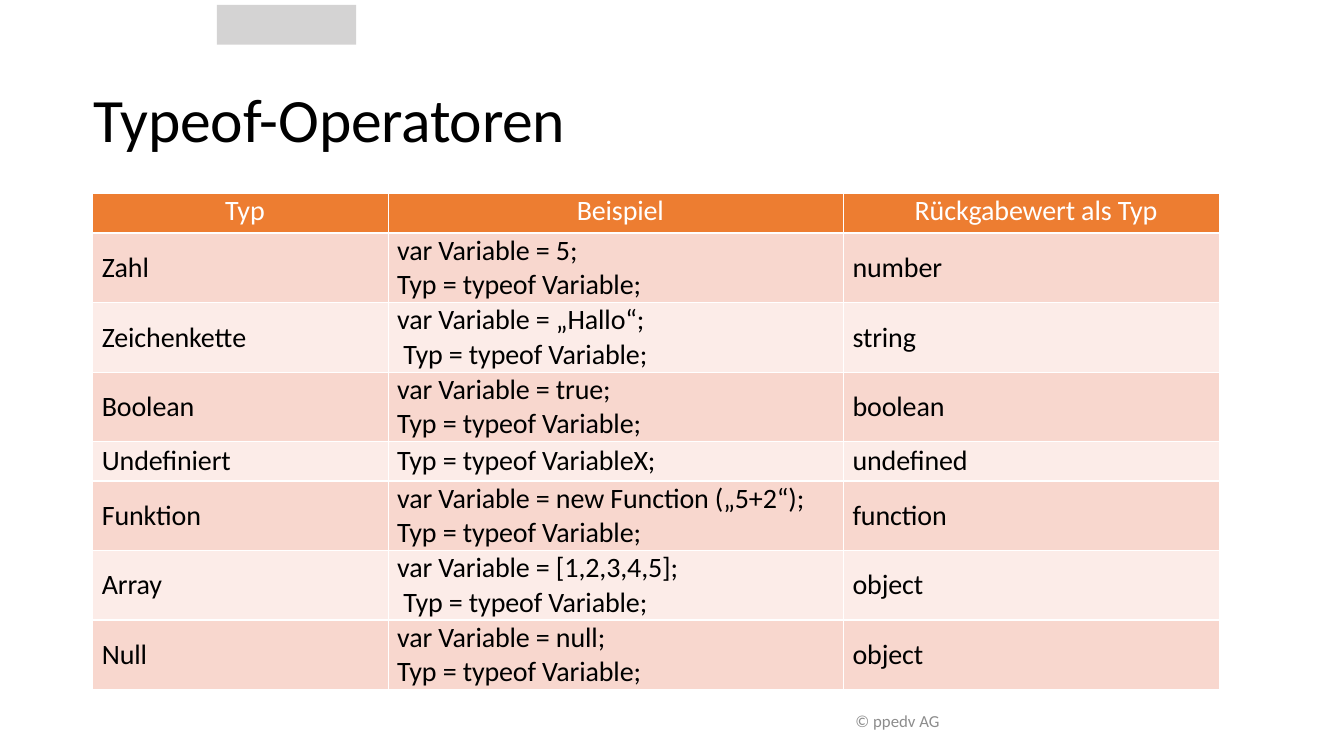
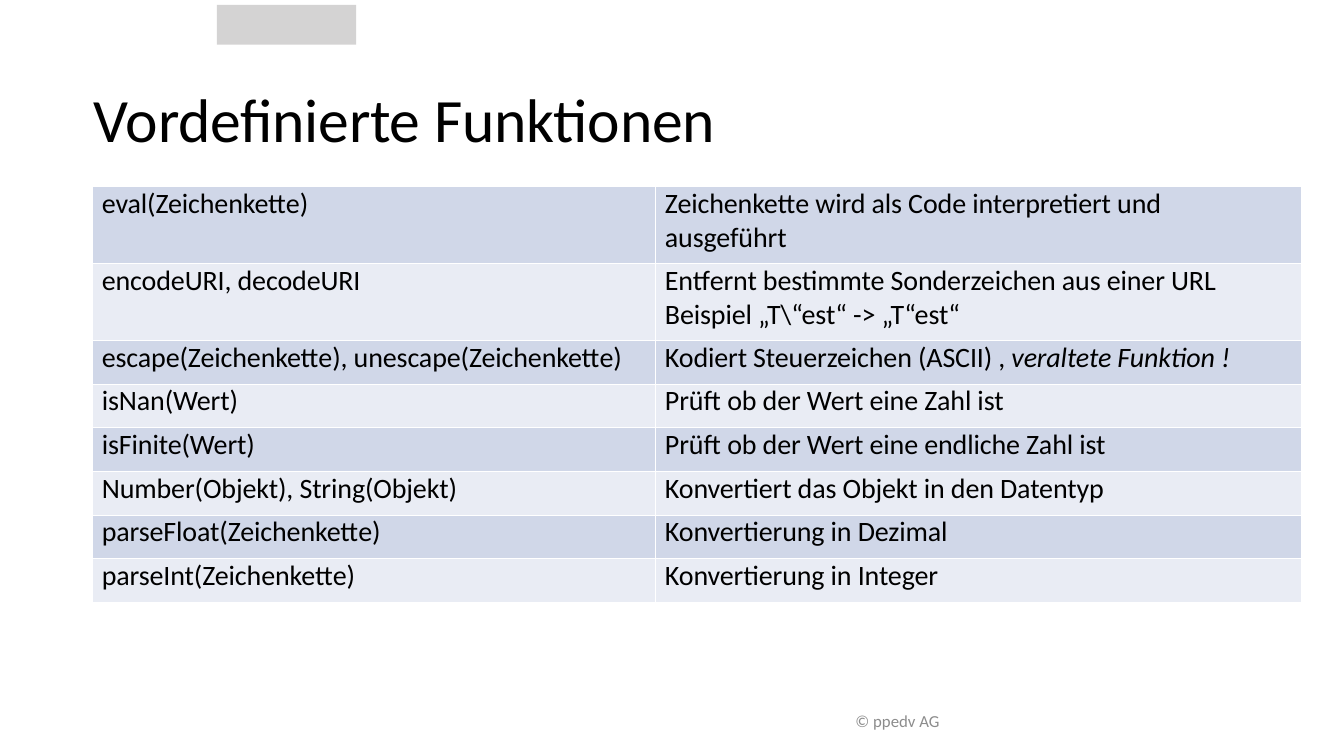
from lxml.etree import SubElement
from pptx import Presentation
from pptx.dml.color import RGBColor
from pptx.enum.shapes import MSO_SHAPE
from pptx.enum.text import MSO_ANCHOR, MSO_AUTO_SIZE, PP_ALIGN
from pptx.oxml.ns import qn
from pptx.util import Pt

FONT = "Calibri"
BLACK, WHITE, GREY, FOOTER_GREY = "000000", "FFFFFF", "D4D3D3", "8C8C8C"
ORANGE, ORANGE_BANDS = "ED7D31", ("F8D7CE", "FCECE8")
BLUE_BANDS = ("D0D7E8", "E9ECF4")
LEFT = 66.25
CELL_INDENT = 6.5

TYPEOF_HEADER = ("Typ", "Beispiel", "Rückgabewert als Typ")
TYPEOF_ROWS = [
    ("Zahl", "var Variable = 5;\nTyp = typeof Variable;", "number"),
    ("Zeichenkette", "var Variable = „Hallo“;\n Typ = typeof Variable;", "string"),
    ("Boolean", "var Variable = true;\nTyp = typeof Variable;", "boolean"),
    ("Undefiniert", "Typ = typeof VariableX;", "undefined"),
    ("Funktion", "var Variable = new Function („5+2“);\nTyp = typeof Variable;", "function"),
    ("Array", "var Variable = [1,2,3,4,5];\n Typ = typeof Variable;", "object"),
    ("Null", "var Variable = null;\nTyp = typeof Variable;", "object"),
]
FUNCTION_ROWS = [
    ("eval(Zeichenkette)", "Zeichenkette wird als Code interpretiert und ausgeführt"),
    ("encodeURI, decodeURI",
     "Entfernt bestimmte Sonderzeichen aus einer URL Beispiel „T\\“est“ -> „T“est“"),
    ("escape(Zeichenkette), unescape(Zeichenkette)",
     "Kodiert Steuerzeichen (ASCII) , *veraltete Funktion !*"),
    ("isNan(Wert)", "Prüft ob der Wert eine Zahl ist"),
    ("isFinite(Wert)", "Prüft ob der Wert eine endliche Zahl ist"),
    ("Number(Objekt), String(Objekt)", "Konvertiert das Objekt in den Datentyp"),
    ("parseFloat(Zeichenkette)", "Konvertierung in Dezimal"),
    ("parseInt(Zeichenkette)", "Konvertierung in Integer"),
]


def rgb(value):
    """Turn a hex string into a colour."""
    return RGBColor.from_string(value)


def write(tf, text, size=20, color=BLACK, align=PP_ALIGN.LEFT, spacing=0):
    """Fill a text frame, one paragraph per line, with italics between asterisks."""
    tf.word_wrap = True
    for i, line in enumerate(text.split("\n")):
        p = tf.add_paragraph() if i else tf.paragraphs[0]
        p.alignment = align
        for j, part in enumerate(line.split("*")):
            if not part:
                continue
            r = p.add_run()
            r.text = part
            font = r.font
            font.name, font.size = FONT, Pt(size)
            font.bold, font.italic = False, j % 2 == 1
            font.color.rgb = rgb(color)
            r._r.get_or_add_rPr().set("spc", str(round(spacing * 100)))


def set_margins(box, left=0, right=0):
    """Set the inner margins of a cell or text frame, with none above or below."""
    box.margin_left, box.margin_right = Pt(left), Pt(right)
    box.margin_top = box.margin_bottom = Pt(0)


def style_cell(cell, fill, anchor, right):
    """Give a cell white borders, a fill, margins and an anchor."""
    tcPr = cell._tc.get_or_add_tcPr()
    for side in ("a:lnL", "a:lnR", "a:lnT", "a:lnB"):
        ln = SubElement(tcPr, qn(side), w=str(Pt(1)))
        SubElement(SubElement(ln, qn("a:solidFill")), qn("a:srgbClr"), val=WHITE)
    cell.fill.solid()
    cell.fill.fore_color.rgb = rgb(fill)
    cell.vertical_anchor = anchor
    set_margins(cell, CELL_INDENT, right)


def add_grid(slide, left, top, widths, heights, rows, bands,
             header=None, anchor=MSO_ANCHOR.TOP, rights=(0, 0, 0)):
    """Place a banded table with an optional orange header row."""
    lines = ([header] if header else []) + rows
    table = slide.shapes.add_table(len(lines), len(widths), Pt(left), Pt(top),
                                   Pt(sum(widths)), Pt(sum(heights))).table
    table.first_row, table.horz_banding = bool(header), False
    for column, width in zip(table.columns, widths):
        column.width = Pt(width)
    for i, (row, height, texts) in enumerate(zip(table.rows, heights, lines)):
        row.height = Pt(height)
        is_header = bool(header) and i == 0
        fill = ORANGE if is_header else bands[(i - bool(header)) % 2]
        for cell, text, right in zip(row.cells, texts, rights):
            style_cell(cell, fill, MSO_ANCHOR.TOP if is_header else anchor, right)
            write(cell.text_frame, text, spacing=-0.1,
                  color=WHITE if is_header else BLACK,
                  align=PP_ALIGN.CENTER if is_header else PP_ALIGN.LEFT)


def add_base_slide(prs, title):
    """Add a slide with the grey block, the title and the footer."""
    slide = prs.slides.add_slide(prs.slide_layouts[5])
    sp = slide.shapes.add_shape(MSO_SHAPE.RECTANGLE, Pt(155), Pt(3.5), Pt(99.5), Pt(28.5))
    sp.shadow.inherit = False
    sp.fill.solid()
    sp.fill.fore_color.rgb = rgb(GREY)
    sp.line.fill.background()

    sp = slide.shapes.title
    sp.left, sp.top, sp.width, sp.height = Pt(LEFT), Pt(36), Pt(828), Pt(97)
    tf = sp.text_frame
    tf.auto_size = MSO_AUTO_SIZE.NONE
    tf.vertical_anchor = MSO_ANCHOR.MIDDLE
    set_margins(tf, left=0.75)
    write(tf, title, size=44, spacing=-0.2)

    tf = slide.shapes.add_textbox(Pt(LEFT), Pt(500.5), Pt(612), Pt(28.75)).text_frame
    tf.vertical_anchor = MSO_ANCHOR.MIDDLE
    write(tf, "© ppedv AG", size=12, color=FOOTER_GREY, align=PP_ALIGN.RIGHT)
    return slide


def add_typeof_slide(prs):
    """Add the slide on typeof operators."""
    slide = add_base_slide(prs, "Typeof-Operatoren")
    heights = [28] + [49.7 if "\n" in example else 28 for _, example, _ in TYPEOF_ROWS]
    add_grid(slide, LEFT, 138.5, (211, 325.25, 268.5), heights, TYPEOF_ROWS,
             ORANGE_BANDS, header=TYPEOF_HEADER, anchor=MSO_ANCHOR.MIDDLE)


def add_functions_slide(prs):
    """Add the slide on predefined functions."""
    slide = add_base_slide(prs, "Vordefinierte Funktionen")
    add_grid(slide, LEFT, 133.25, (402.25, 461.5), [55] * 2 + [31.2] * 6,
             FUNCTION_ROWS, BLUE_BANDS, rights=(0, 30))


def main():
    """Build and save the presentation."""
    prs = Presentation()
    prs.slide_width, prs.slide_height = Pt(960), Pt(540)
    add_typeof_slide(prs)
    add_functions_slide(prs)
    prs.save("out.pptx")


if __name__ == "__main__":
    main()
